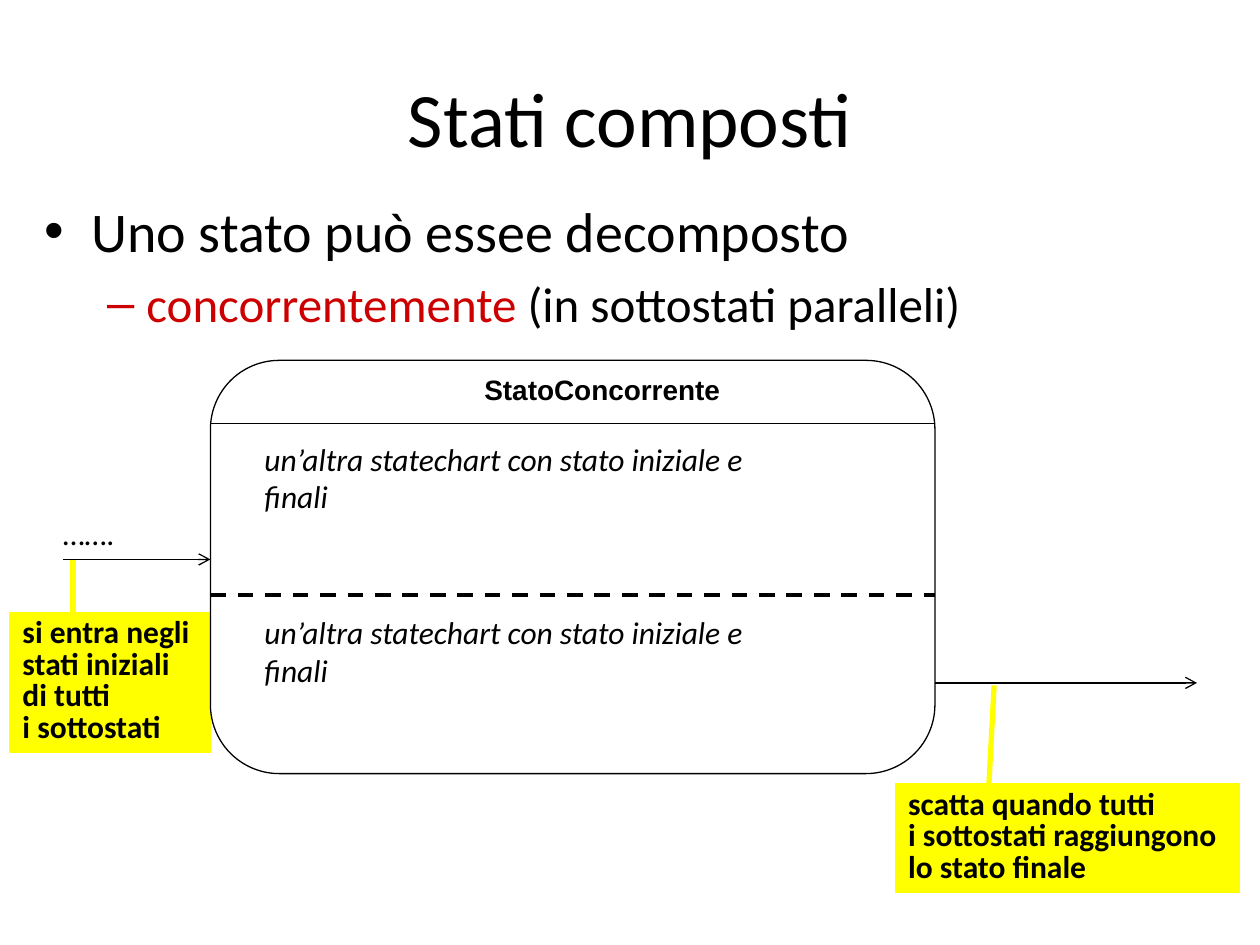
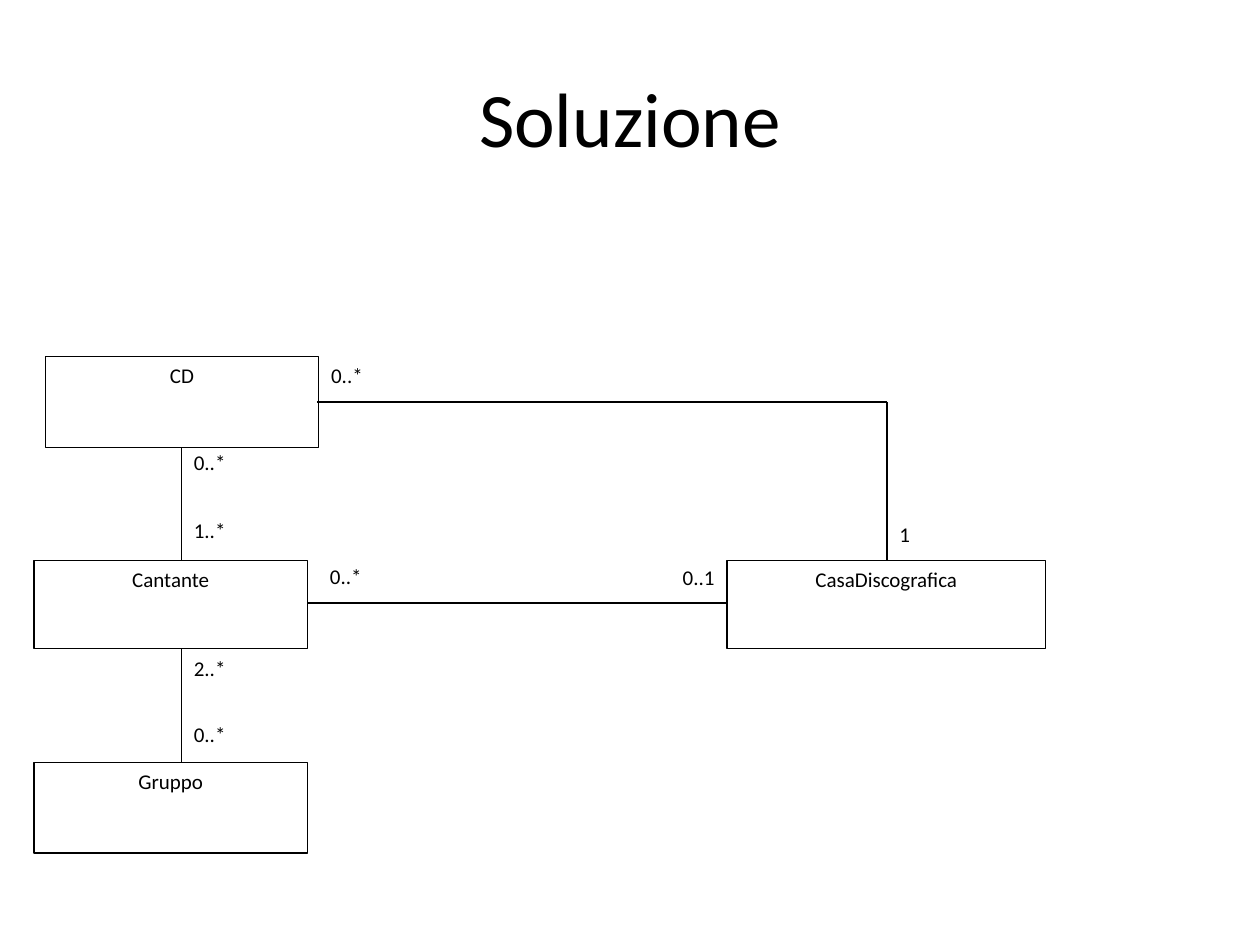
"""Build two slides on composite states and a class diagram."""
from dataclasses import dataclass
from typing import NamedTuple, Optional

from pptx import Presentation
from pptx.dml.color import RGBColor as RGB
from pptx.enum.dml import MSO_LINE as Dash
from pptx.enum.shapes import MSO_CONNECTOR as Link, MSO_SHAPE as Form
from pptx.enum.text import MSO_ANCHOR as Anchor, MSO_AUTO_SIZE as Fit, PP_ALIGN as Align
from pptx.oxml.ns import qn
from pptx.util import Inches, Pt

COLS, ROWS = 100, 75
CELL = Inches(0.1)


@dataclass(frozen=True)
class Theme:
    font: str = "Calibri"
    alt: str = "Arial"
    ink: str = "000000"
    paper: str = "FFFFFF"
    mark: str = "FFFF00"
    key: str = "CC0000"
    head: int = 44
    list: int = 32
    sub: int = 28
    note: int = 18
    name: int = 16
    small: int = 12
    thin: float = 0.75
    mid: float = 2.25
    thick: float = 3


class Box(NamedTuple):
    x: float
    y: float
    w: float
    h: float

    def place(self):
        return [round(n * CELL) for n in self]


class Line(NamedTuple):
    x1: float
    y1: float
    x2: float
    y2: float
    color: str = Theme.ink
    width: float = Theme.thin
    arrow: bool = False
    dash: bool = False


class Note(NamedTuple):
    text: str
    box: Box
    stem: Line


class Entity(NamedTuple):
    name: str
    box: Box


class Label(NamedTuple):
    text: str
    x: float
    y: float
    align: Align = Align.LEFT


T = Theme()
TITLE = Box(5, 3, 90, 12.5)
BODY = Box(2.5, 15.1, 95, 11.7)

STATE = Box(16.7, 28.6, 57.5, 32.8)
LEFT, RIGHT = STATE.x, STATE.x + STATE.w
ENTRY, EXIT, BAND, SPLIT = 44.4, 54.2, 33.6, 47.2
REGION = "un’altra statechart con stato iniziale e\nfinali"
NOTES = (
    Note("si entra negli\nstati iniziali\ndi tutti\ni sottostati",
         Box(0.8, 48.6, 15.9, 11.1),
         Line(5.8, 51.1, 5.8, ENTRY, T.mark, T.thick)),
    Note("scatta quando tutti\ni sottostati raggiungono\nlo stato finale",
         Box(71.1, 62.2, 27.3, 8.6),
         Line(78.3, 65.8, 78.9, 54.4, T.mark, T.thick)),
)
PATHS = (
    Line(LEFT, BAND, RIGHT, BAND),
    Line(RIGHT, EXIT, 95, EXIT, arrow=True),
    Line(5, ENTRY, LEFT, ENTRY, arrow=True),
    Line(LEFT, SPLIT, RIGHT, SPLIT, width=T.mid, dash=True),
)

TRUNK, HOUSE, LINK = 14.4, 70.4, 31.9
MID = 44.5
ENTITIES = (
    Entity("CD", Box(3.6, 28.3, 21.7, 7.2)),
    Entity("Cantante", Box(2.7, MID, 21.7, 7)),
    Entity("CasaDiscografica", Box(57.7, MID, 25.3, 7)),
    Entity("Gruppo", Box(2.7, 60.5, 21.7, 7.2)),
)
TIES = (
    Line(24.4, 47.85, 57.7, 47.85),
    Line(TRUNK, 51.5, TRUNK, 60.5),
    Line(TRUNK, 35.5, TRUNK, MID),
    Line(25.2, LINK, HOUSE, LINK),
    Line(HOUSE, LINK, HOUSE, MID),
)
LABELS = (
    Label("0..*", 25.3, 28.3),
    Label("0..*", TRUNK, 35.2),
    Label("1..*", TRUNK, 40.6),
    Label("1", HOUSE, 40.9),
    Label("0..*", 25.2, 44.2),
    Label("0..1", 43.4, 44.3, Align.RIGHT),
    Label("2..*", TRUNK, 51.5),
    Label("0..*", TRUNK, 56.8),
)


def say(frame, text: str, *, size: float = T.note, color: str = T.ink,
        font: str = T.font, bold: bool = False, slant: bool = False,
        align: Optional[Align] = None, level: int = 0,
        lead: Optional[float] = None, join: bool = False,
        wrap: bool = True) -> None:
    """Write each line of text as a paragraph, or join it to the last one."""
    frame.word_wrap = wrap
    frame.auto_size = Fit.NONE
    for line in text.split("\n"):
        par = frame.paragraphs[-1]
        if par.runs and not join:
            par = frame.add_paragraph()
        if not join:
            par.level = level
            par.alignment = align
            if lead:
                par.line_spacing = Pt(lead)
        run = par.add_run()
        run.text = line
        face = run.font
        face.name, face.size = font, Pt(size)
        face.bold, face.italic = bold, slant
        face.color.rgb = RGB.from_string(color)


def label(slide, text: str, box: Box, **form) -> None:
    """Add a text box."""
    say(slide.shapes.add_textbox(*box.place()).text_frame, text, **form)


def shape(slide, box: Box, form: Form = Form.RECTANGLE,
          fill: Optional[str] = None, edge: str = T.ink):
    """Add a flat outlined shape and return its text frame."""
    item = slide.shapes.add_shape(form, *box.place())
    item.shadow.inherit = False
    if fill:
        item.fill.solid()
        item.fill.fore_color.rgb = RGB.from_string(fill)
    else:
        item.fill.background()
    item.line.color.rgb = RGB.from_string(edge)
    item.line.width = Pt(T.thin)
    item.text_frame.vertical_anchor = Anchor.TOP
    return item.text_frame


def draw(slide, line: Line) -> None:
    """Add a straight connector, with an open arrow or dashes if asked."""
    ends = Box(*line[:4]).place()
    item = slide.shapes.add_connector(Link.STRAIGHT, *ends)
    item.line.color.rgb = RGB.from_string(line.color)
    item.line.width = Pt(line.width)
    if line.dash:
        item.line.dash_style = Dash.DASH
    if line.arrow:
        tip = item.line._get_or_add_ln()
        tip.append(tip.makeelement(qn("a:tailEnd"), {"type": "arrow"}))
    props = item._element.spPr
    props.append(props.makeelement(qn("a:effectLst"), {}))


def start(deck, layout: int, title: str):
    """Add a slide with its title."""
    slide = deck.slides.add_slide(deck.slide_layouts[layout])
    head = slide.shapes.title
    head.left, head.top, head.width, head.height = TITLE.place()
    head.text_frame.vertical_anchor = Anchor.MIDDLE
    say(head.text_frame, title, size=T.head, align=Align.CENTER)
    return slide


def states(deck) -> None:
    """Draw the concurrent state with its notes."""
    slide = start(deck, 1, "Stati composti")
    body = slide.placeholders[1]
    body.left, body.top, body.width, body.height = BODY.place()
    frame = body.text_frame
    say(frame, "Uno stato può essee decomposto", size=T.list)
    say(frame, "concorrentemente", size=T.sub, color=T.key, level=1)
    say(frame, " (in sottostati paralleli)", size=T.sub, join=True)
    for note in NOTES:
        draw(slide, note.stem)
        say(shape(slide, note.box, fill=T.mark, edge=T.mark), note.text,
            bold=True, align=Align.LEFT, lead=T.note)
    shape(slide, STATE, Form.FLOWCHART_ALTERNATE_PROCESS)
    for line in PATHS:
        draw(slide, line)
    label(slide, "StatoConcorrente", Box(37.4, 29.1, 20.8, 3.7), size=T.name,
          font=T.alt, bold=True, align=Align.CENTER, wrap=False)
    for top in (34.4, 48.2):
        label(slide, REGION, Box(20, top, 53.8, 9), slant=True)
    label(slide, "…….", Box(4, 40.3, 9.5, 5))


def answer(deck) -> None:
    """Draw the class diagram."""
    slide = start(deck, 5, "Soluzione")
    for item in ENTITIES:
        say(shape(slide, item.box, fill=T.paper), item.name,
            size=T.small, align=Align.CENTER)
    for tie in TIES:
        draw(slide, tie)
    for tag in LABELS:
        label(slide, tag.text, Box(tag.x, tag.y, 14.3, 3.6),
              size=T.small, align=tag.align)


def main() -> None:
    """Build and save the deck."""
    deck = Presentation()
    deck.slide_width, deck.slide_height = COLS * CELL, ROWS * CELL
    states(deck)
    answer(deck)
    deck.save("out.pptx")


if __name__ == "__main__":
    main()
